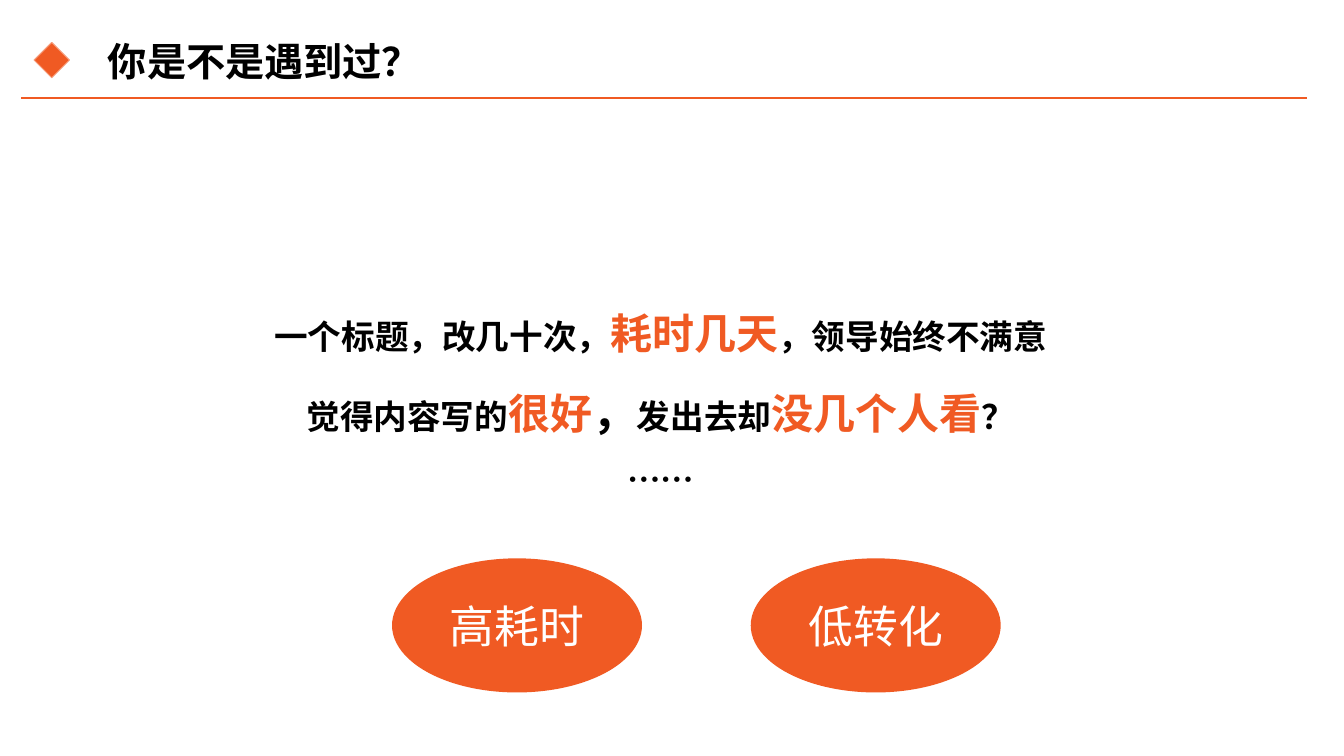
import pptx
import pptx.dml.color
import pptx.enum.shapes
import pptx.enum.text
import pptx.oxml
import pptx.oxml.ns
import pptx.util
from pptx.util import Cm

FONT = "Noto Sans CJK SC"
ORANGE, PALE_ORANGE, BLACK, WHITE = "F05A23", "F69C7B", "000000", "FFFFFF"
SHAPES = pptx.enum.shapes.MSO_SHAPE
CENTER = pptx.enum.text.PP_ALIGN.CENTER
MIDDLE = pptx.enum.text.MSO_ANCHOR.MIDDLE

COMPLAINTS = [
    [("一个标题，改几十次，", 24, BLACK), ("耗时几天", 30, ORANGE),
     ("，领导始终不满意", 24, BLACK)],
    [("觉得内容写的", 24, BLACK), ("很好", 30, ORANGE), ("，", 32, BLACK),
     ("发出去却", 24, BLACK), ("没几个人看", 30, ORANGE), ("？", 24, BLACK)],
    [("……", 24, BLACK)],
]


def rgb(color):
    """Turn a hex string into a colour."""
    return pptx.dml.color.RGBColor.from_string(color)


def set_font(paragraph, size, color, bold):
    """Set the Latin and East Asian font of a whole paragraph."""
    font = paragraph.font
    font.size = pptx.util.Pt(size)
    font.bold = bold
    font.color.rgb = rgb(color)
    font.name = FONT
    defaults = paragraph._p.pPr.find(pptx.oxml.ns.qn("a:defRPr"))
    east_asian = pptx.oxml.parse_xml(
        f'<a:ea {pptx.oxml.ns.nsdecls("a")} typeface="{FONT}"/>')
    defaults.append(east_asian)


def add_rule(slide, left, right, y):
    """Draw the line under the heading."""
    rule = slide.shapes.add_connector(
        pptx.enum.shapes.MSO_CONNECTOR.STRAIGHT, Cm(left), Cm(y), Cm(right), Cm(y))
    rule.line.color.rgb = rgb(ORANGE)
    rule.line.width = pptx.util.Pt(1.5)
    rule._element.spPr.append(
        pptx.oxml.parse_xml(f'<a:effectLst {pptx.oxml.ns.nsdecls("a")}/>'))


def add_orange_shape(slide, preset, left, top, width, height):
    """Add a flat orange shape without an outline."""
    shape = slide.shapes.add_shape(preset, Cm(left), Cm(top), Cm(width), Cm(height))
    shape.shadow.inherit = False
    shape.fill.solid()
    shape.fill.fore_color.rgb = rgb(ORANGE)
    shape.line.fill.background()
    return shape


def add_marker(slide):
    """Add the diamond in front of the heading."""
    marker = add_orange_shape(slide, SHAPES.DIAMOND, 0.86, 1.07, 0.89, 0.89)
    marker.line.color.rgb = rgb(PALE_ORANGE)
    marker.line.width = pptx.util.Pt(0.75)


def add_heading(slide, text):
    """Add the slide heading."""
    frame = slide.shapes.add_textbox(Cm(2.72), Cm(0.91), Cm(14.33), Cm(1.27)).text_frame
    frame.word_wrap = True
    frame.vertical_anchor = MIDDLE
    frame.margin_left = frame.margin_right = frame.margin_top = frame.margin_bottom = 0
    heading = frame.paragraphs[0]
    heading.text = text
    set_font(heading, 28, BLACK, True)


def add_complaints(slide, complaints):
    """Add the centred lines with their highlighted words."""
    frame = slide.shapes.add_textbox(Cm(5.51), Cm(6.99), Cm(22.28), Cm(6.35)).text_frame
    frame.word_wrap = True
    for index, phrases in enumerate(complaints):
        complaint = frame.add_paragraph() if index else frame.paragraphs[0]
        complaint.alignment = CENTER
        complaint.line_spacing = 1.5
        set_font(complaint, 24, BLACK, True)
        for text, size, color in phrases:
            phrase = complaint.add_run()
            phrase.text = text
            if (size, color) != (24, BLACK):
                phrase.font.size = pptx.util.Pt(size)
                phrase.font.color.rgb = rgb(color)


def add_problem(slide, text, left):
    """Add an ellipse that names a problem."""
    ellipse = add_orange_shape(slide, SHAPES.OVAL, left, 14.07, 6.3, 3.38)
    frame = ellipse.text_frame
    frame.vertical_anchor = MIDDLE
    problem = frame.paragraphs[0]
    problem.text = text
    problem.alignment = CENTER
    set_font(problem, 32, WHITE, False)


def main():
    """Build the slide and save it."""
    deck = pptx.Presentation()
    deck.slide_width, deck.slide_height = Cm(33.87), Cm(19.05)
    slide = deck.slides.add_slide(deck.slide_layouts[6])
    add_rule(slide, 0.53, 32.94, 2.46)
    add_marker(slide)
    add_heading(slide, "你是不是遇到过？")
    add_complaints(slide, COMPLAINTS)
    add_problem(slide, "低转化", 18.92)
    add_problem(slide, "高耗时", 9.88)
    deck.save("out.pptx")


if __name__ == "__main__":
    main()
